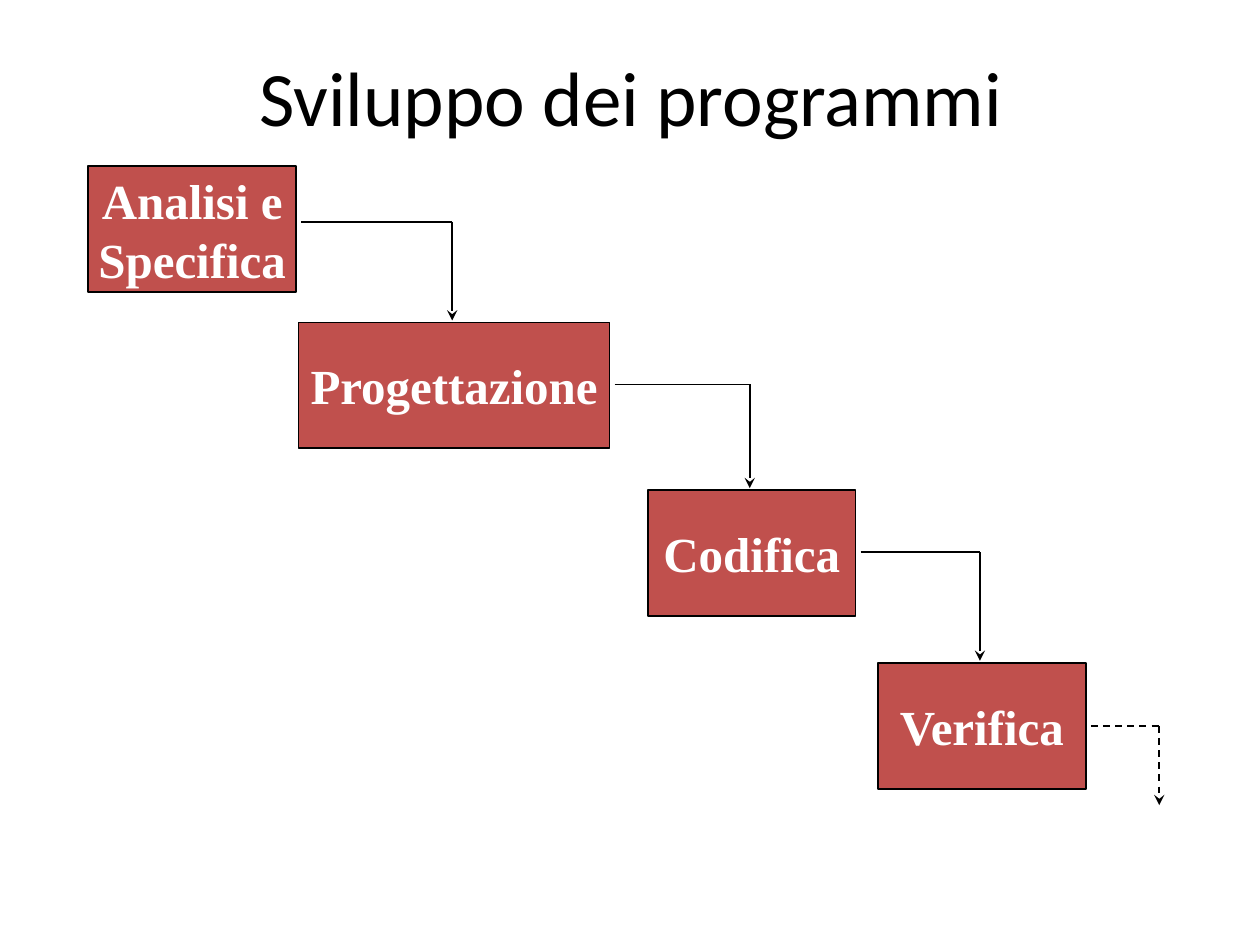
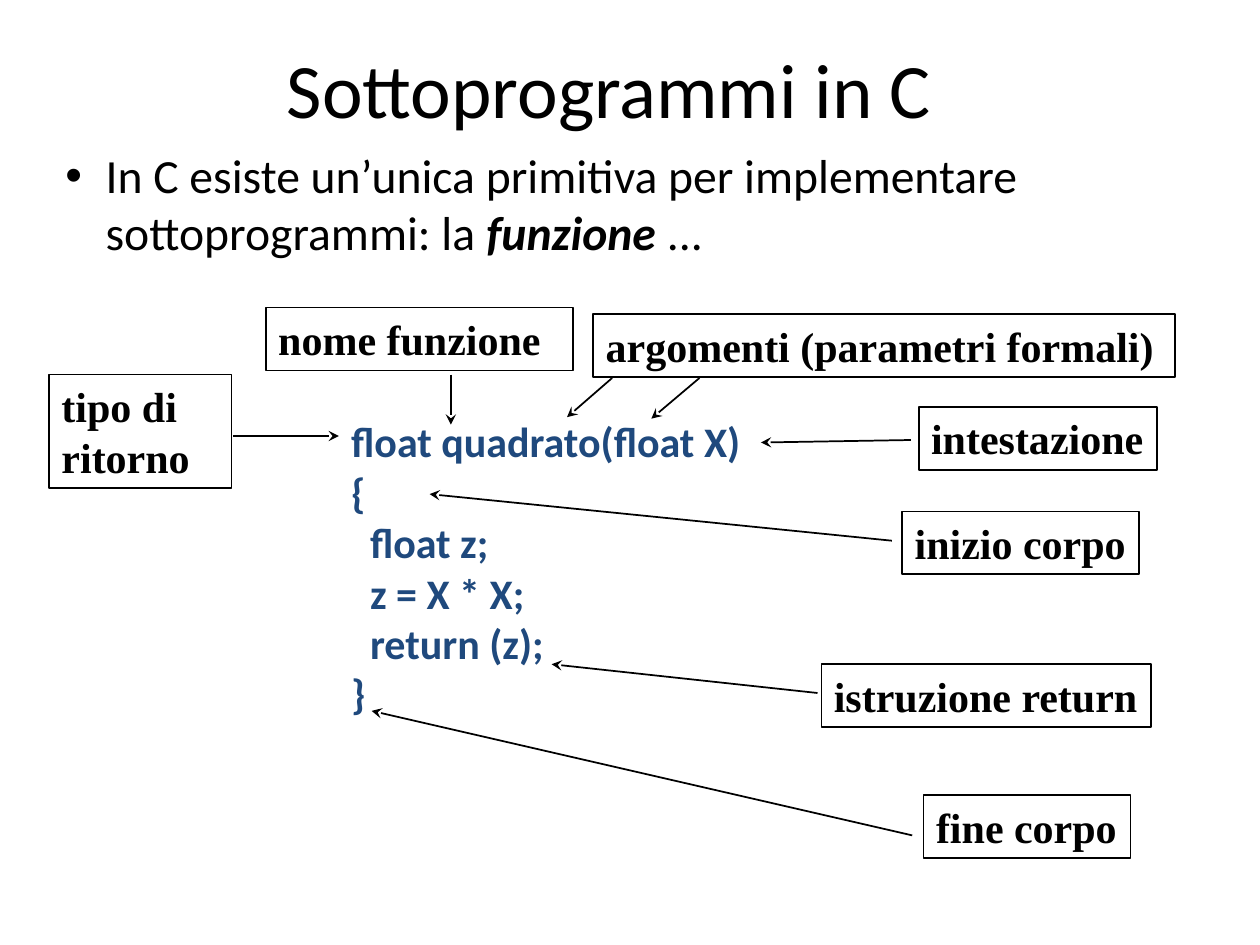
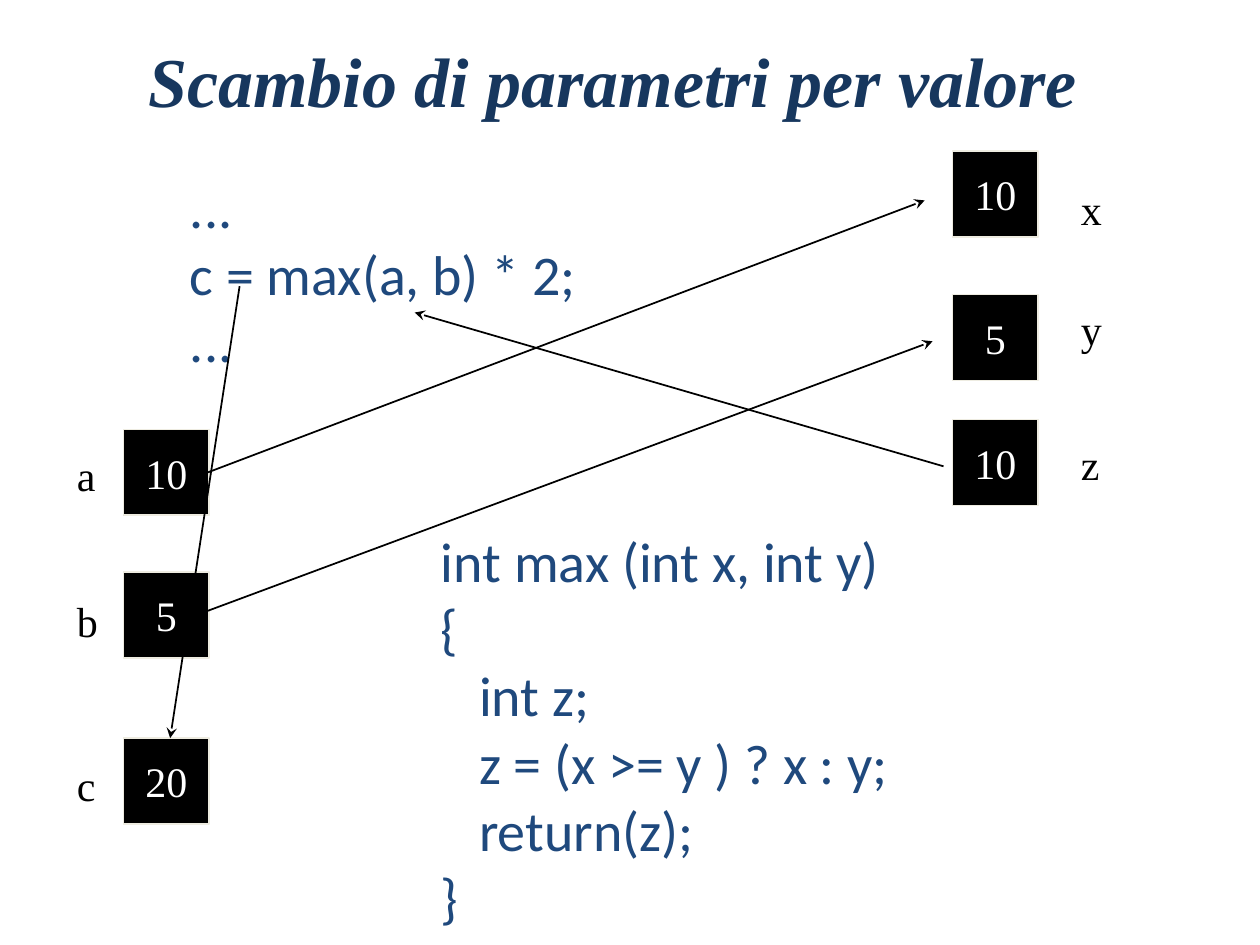
import collections
import itertools

import lxml.etree
import pptx
import pptx.dml.color
import pptx.enum.dml
import pptx.enum.shapes
import pptx.enum.text
import pptx.oxml.ns
import pptx.util

Cm = pptx.util.Cm
Pt = pptx.util.Pt
qn = pptx.oxml.ns.qn
ALIGN = pptx.enum.text.PP_ALIGN
ANCHOR = pptx.enum.text.MSO_ANCHOR

BLACK = "000000"
WHITE = "FFFFFF"
STAGE_RED = "C0504D"
CODE_BLUE = "1F497D"
TITLE_NAVY = "17375E"
CELL_EDGE = "EEECE1"
SANS = "Calibri"
SERIF = "Times New Roman"

Box = collections.namedtuple("Box", "left top width height")
Style = collections.namedtuple("Style", "size font color bold italic", defaults=(False, False))

TITLE = Style(44, SANS, BLACK)
EMPHATIC_TITLE = Style(40, SERIF, TITLE_NAVY, True, True)
BODY = Style(27.2, SANS, BLACK)
STAGE = Style(28, SERIF, WHITE, True)
LABEL = Style(24, SERIF, BLACK, True)
VARIABLE = Style(24, SERIF, BLACK)
VALUE = Style(24, SERIF, WHITE)
BOLD_CODE = Style(24, SANS, CODE_BLUE, True)
CODE = Style(32, SANS, CODE_BLUE)


def rgb(color):
    return pptx.dml.color.RGBColor.from_string(color)


def inside(box, left, top, width, height):
    return Box(box.left + left, box.top + top, width, height)


def add_run(paragraph, text, style):
    run = paragraph.add_run()
    run.text = text
    run.font.size = Pt(style.size)
    run.font.name = style.font
    run.font.bold = style.bold
    run.font.italic = style.italic
    run.font.color.rgb = rgb(style.color)


def write_lines(shape, lines, style, align=ALIGN.LEFT, anchor=ANCHOR.TOP, wrap=True):
    frame = shape.text_frame
    frame.word_wrap = wrap
    frame.vertical_anchor = anchor
    for number, line in enumerate(lines):
        paragraph = frame.add_paragraph() if number else frame.paragraphs[0]
        paragraph.alignment = align
        add_run(paragraph, line, style)
    return frame


def add_text(slide, box, lines, style, **layout):
    return write_lines(slide.shapes.add_textbox(*map(Cm, box)), lines, style, **layout)


def add_frame(slide, box, lines, style, fill=None, edge=BLACK, **layout):
    frame = slide.shapes.add_shape(pptx.enum.shapes.MSO_SHAPE.RECTANGLE, *map(Cm, box))
    frame.shadow.inherit = False
    if fill:
        frame.fill.solid()
        frame.fill.fore_color.rgb = rgb(fill)
    else:
        frame.fill.background()
    frame.line.color.rgb = rgb(edge)
    frame.line.width = Pt(1)
    write_lines(frame, lines, style, **layout)


def add_line(slide, box, start, end, arrow=True, dashed=False):
    points = (box.left + start[0], box.top + start[1], box.left + end[0], box.top + end[1])
    line = slide.shapes.add_connector(pptx.enum.shapes.MSO_CONNECTOR.STRAIGHT, *map(Cm, points))
    line.line.color.rgb = rgb(BLACK)
    line.line.width = Pt(1)
    if dashed:
        line.line.dash_style = pptx.enum.dml.MSO_LINE.DASH
    properties = line.element.spPr
    if arrow:
        lxml.etree.SubElement(properties.find(qn("a:ln")), qn("a:tailEnd"), type="stealth")
    lxml.etree.SubElement(properties, qn("a:effectLst"))


def add_title(slide, box, text, style=TITLE):
    add_text(slide, box, [text], style, align=ALIGN.CENTER, anchor=ANCHOR.MIDDLE)


def add_bullet(slide, box, pieces):
    indent = Cm(0.81)
    frame = slide.shapes.add_textbox(*map(Cm, box)).text_frame
    frame.word_wrap = True
    paragraph = frame.paragraphs[0]
    paragraph.space_before = Pt(8)
    properties = paragraph._p.get_or_add_pPr()
    properties.set("marL", str(indent))
    properties.set("indent", str(-indent))
    lxml.etree.SubElement(properties, qn("a:buFont"), typeface="Arial")
    lxml.etree.SubElement(properties, qn("a:buChar"), char="•")
    for text, style in pieces:
        add_run(paragraph, text, style)


def add_code(slide, box, lines, style, indent=0, indented=()):
    frame = add_text(slide, box, lines, style)
    for number in indented:
        frame.paragraphs[number]._p.get_or_add_pPr().set("marL", str(Cm(indent)))


def add_waterfall(slide, box):
    height = 2.54
    stages = [
        (0, 0, 4.19, 1.12, ["Analisi e", "Specifica"]),
        (4.24, 3.15, 6.27, 1.25, ["Progettazione"]),
        (11.28, 6.53, 4.19, 1.25, ["Codifica"]),
        (15.92, 10.01, 4.19, 1.27, ["Verifica"]),
    ]
    for stage, following in itertools.zip_longest(stages, stages[1:]):
        left, top, width, exit_drop, lines = stage
        add_frame(slide, inside(box, left, top, width, height), lines, STAGE, STAGE_RED,
                  align=ALIGN.CENTER, anchor=ANCHOR.MIDDLE, wrap=False)
        last = following is None
        if last:
            tip = (box.width, box.height)
        else:
            tip = (following[0] + following[2] / 2 - 0.04, following[1] - 0.04)
        corner = (tip[0], top + exit_drop)
        add_line(slide, box, (left + width + 0.1, corner[1]), corner, arrow=False, dashed=last)
        add_line(slide, box, corner, tip, dashed=last)


def add_function_anatomy(slide, box):
    add_code(slide, inside(box, 5.84, 2.06, 8.94, 6.35),
             ["float quadrato(float X)", "{", "float z;", "z = X * X;", "return (z);", "}"],
             BOLD_CODE, 0.38, range(2, 5))
    labels = [
        ("intestazione", 17.53, 2, 4.8, 1.27, False),
        ("tipo di ritorno", 0, 1.35, 3.68, 2.29, True),
        ("nome funzione", 4.37, 0, 6.2, 1.27, True),
        ("argomenti (parametri formali)", 10.97, 0.13, 11.73, 1.27, True),
        ("inizio corpo", 17.2, 4.11, 4.78, 1.27, False),
        ("fine corpo", 17.63, 9.83, 4.17, 1.27, False),
        ("istruzione return", 15.57, 7.19, 6.65, 1.27, False),
    ]
    for text, left, top, width, height, wrap in labels:
        add_frame(slide, inside(box, left, top, width, height), [text], LABEL, wrap=wrap)
    pointers = [
        ((17.37, 2.67), (14.35, 2.72)),
        ((3.71, 2.59), (5.84, 2.59)),
        ((8.1, 1.35), (8.1, 2.36)),
        ((11.35, 1.42), (10.44, 2.21)),
        ((13.11, 1.42), (12.14, 2.24)),
        ((16.99, 4.7), (7.67, 3.76)),
        ((17.4, 10.64), (6.5, 8.13)),
        ((15.49, 7.77), (10.13, 7.19)),
    ]
    for start, end in pointers:
        add_line(slide, box, start, end)


def add_variables(slide, box, cell_left, name_left, variables):
    side = 1.73
    for name, value, cell_top, name_top in variables:
        add_frame(slide, inside(box, cell_left, cell_top, side, side), [value], VALUE,
                  BLACK, CELL_EDGE, align=ALIGN.CENTER, anchor=ANCHOR.MIDDLE, wrap=False)
        add_text(slide, inside(box, name_left, name_top, 0.92, 1.27), [name], VARIABLE, wrap=False)


def add_value_flow(slide, box):
    flows = [
        ((0.74, 5.49), (15.21, 0)),
        ((0.74, 8.28), (15.37, 2.84)),
        ((15.59, 5.36), (4.93, 2.26)),
        ((1.4, 1.73), (0, 10.84)),
    ]
    for start, end in flows:
        add_line(slide, box, start, end)


def build_development(slide):
    add_title(slide, Box(2.64, 0.81, 20.17, 2.24), "Sviluppo dei programmi")
    add_waterfall(slide, Box(1.78, 3.35, 21.59, 12.88))


def build_subprograms(slide):
    add_title(slide, Box(1.45, 0.64, 21.67, 2.24), "Sottoprogrammi in C")
    add_bullet(slide, Box(1.07, 2.82, 23.19, 2.64), [
        ("In C esiste un’unica primitiva per implementare sottoprogrammi: la ", BODY),
        ("funzione ", BODY._replace(bold=True, italic=True)),
        ("...", BODY),
    ])
    add_function_anatomy(slide, Box(0.99, 6.2, 22.71, 11.1))


def build_passing_by_value(slide):
    add_code(slide, Box(8.64, 10.49, 11.25, 8.38),
             ["int max (int x, int y)", "{", "int z;", "z = (x >= y ) ? x : y;", "return(z);", "}"],
             CODE, 0.77, range(2, 5))
    add_code(slide, Box(3.58, 3.35, 8.31, 4.32), ["...", "c = max(a, b) * 2;", "..."], CODE)
    add_variables(slide, Box(1.3, 8.66, 2.92, 7.95), 1.19, 0,
                  [("a", "10", 0, 0.28), ("b", "5", 2.87, 3.23), ("c", "20", 6.22, 6.53)])
    add_variables(slide, Box(19.2, 3.05, 3.3, 7.14), 0, 2.34,
                  [("x", "10", 0, 0.53), ("y", "5", 2.89, 2.94), ("z", "10", 5.41, 5.66)])
    add_value_flow(slide, Box(3.43, 4.04, 15.59, 10.84))
    add_title(slide, Box(1.52, 0.48, 21.67, 2.24), "Scambio di parametri per valore",
              EMPHATIC_TITLE)


def main():
    deck = pptx.Presentation()
    deck.slide_width = Cm(25.4)
    deck.slide_height = Cm(19.05)
    for build in (build_development, build_subprograms, build_passing_by_value):
        build(deck.slides.add_slide(deck.slide_layouts[6]))
    deck.save("out.pptx")


if __name__ == "__main__":
    main()
